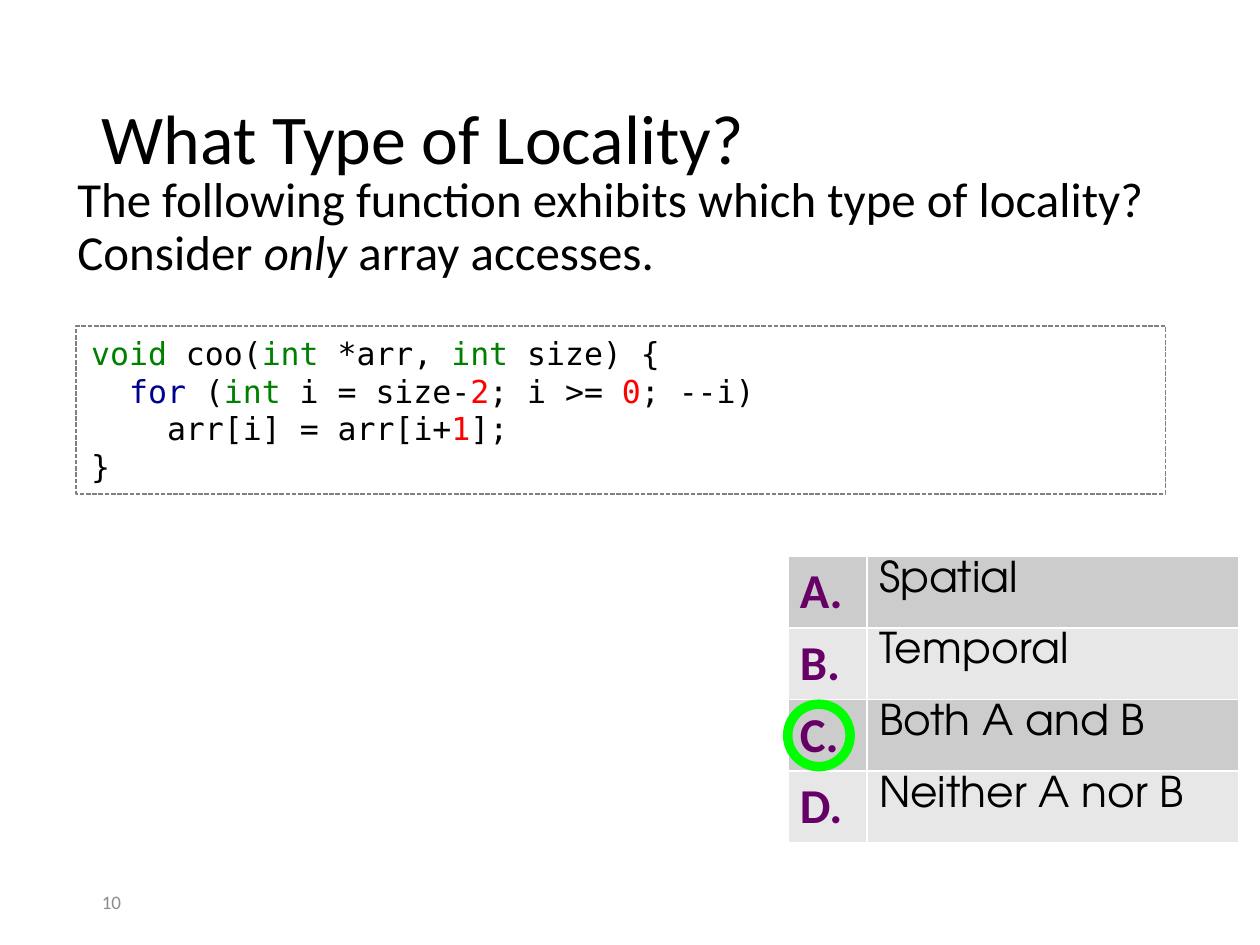
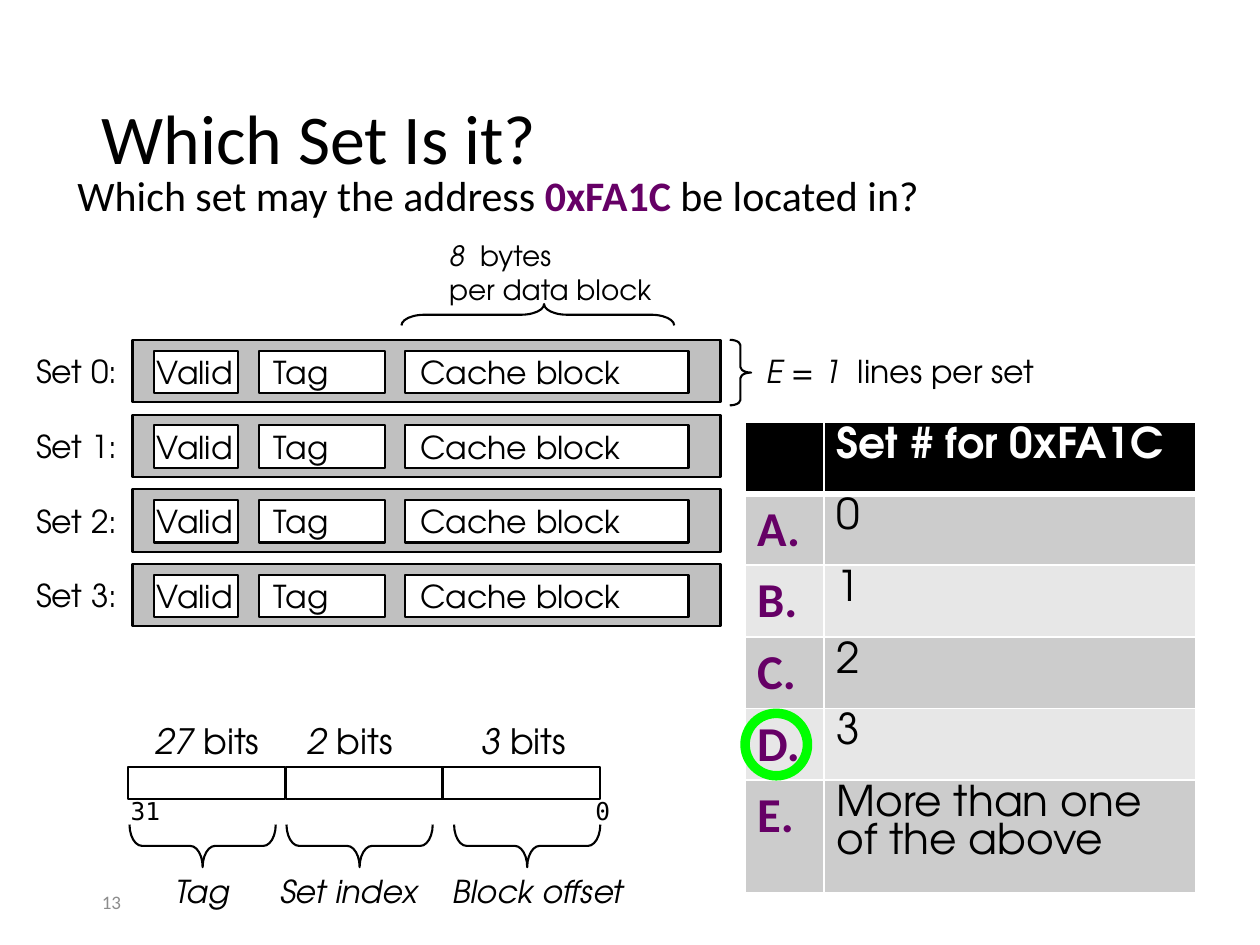
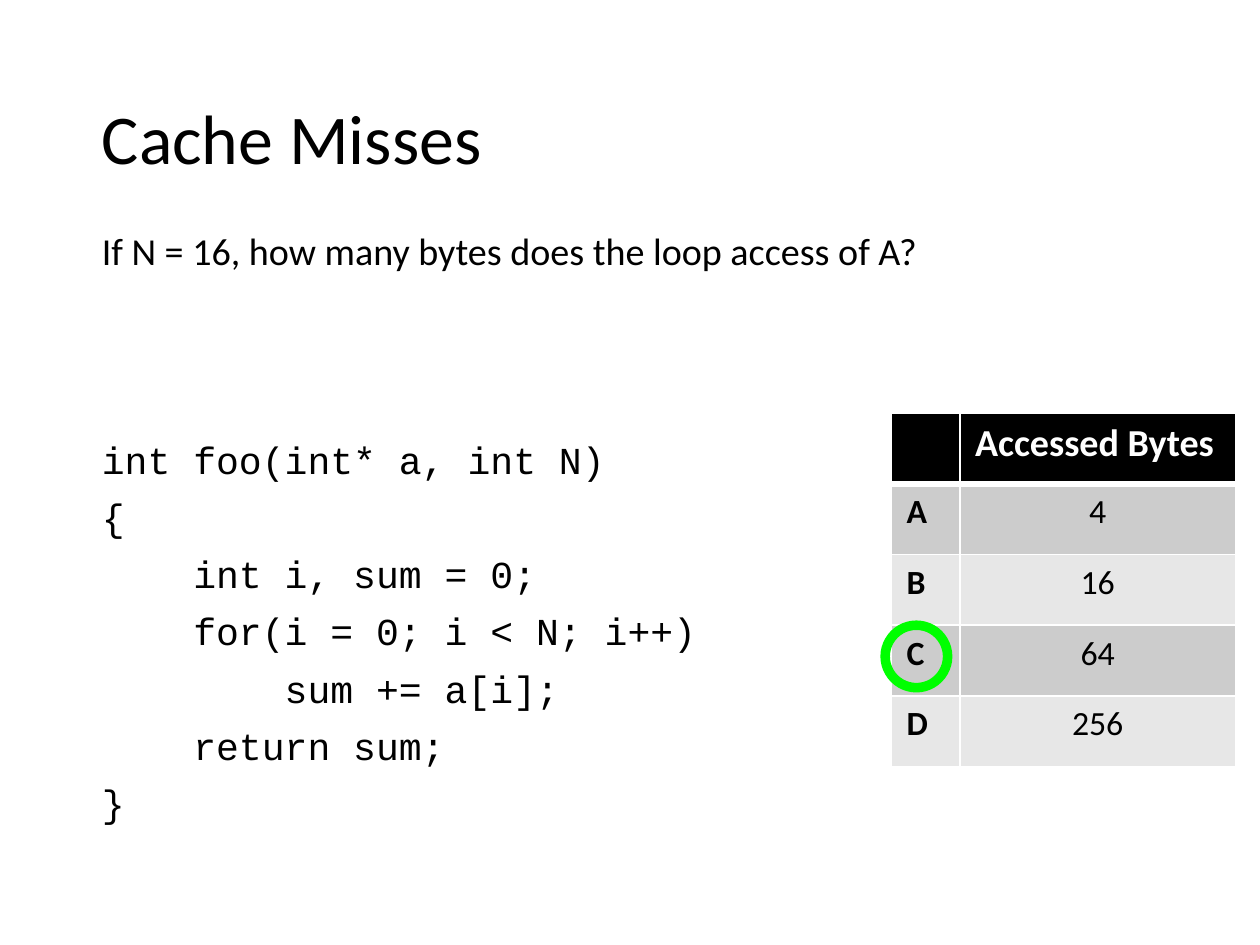
import lxml.etree
import pptx
import pptx.dml.color
import pptx.enum.dml
import pptx.enum.shapes
import pptx.enum.text
import pptx.oxml.ns
import pptx.util

Inches = pptx.util.Inches
Pt = pptx.util.Pt
RGB = pptx.dml.color.RGBColor
SHAPE = pptx.enum.shapes.MSO_SHAPE
ANCHOR = pptx.enum.text.MSO_ANCHOR
ALIGN = pptx.enum.text.PP_ALIGN

# Shared colours and fonts
BLACK = RGB(0x00, 0x00, 0x00)
WHITE = RGB(0xFF, 0xFF, 0xFF)
GRAY = RGB(0x80, 0x80, 0x80)
NUMBER_GRAY = RGB(0x8C, 0x8C, 0x8C)
SET_GRAY = RGB(0xC0, 0xC0, 0xC0)
BAND_DARK = RGB(0xCC, 0xCC, 0xCC)
BAND_LIGHT = RGB(0xE7, 0xE7, 0xE7)
PURPLE = RGB(0x66, 0x00, 0x66)
RING_GREEN = RGB(0x00, 0xFF, 0x00)
TYPE_GREEN = RGB(0x00, 0x80, 0x00)
KEYWORD_BLUE = RGB(0x00, 0x00, 0x90)
LITERAL_RED = RGB(0xFF, 0x00, 0x00)

SANS = "Calibri"
GOTHIC = "TeX Gyre Adventor"
MONO = "DejaVu Sans Mono"
COURIER = "Courier New"

TIGHT = (0.08, 0.04, 0.08, 0.04)
NORMAL = (0.1, 0.05, 0.1, 0.05)

prs = pptx.Presentation()
prs.slide_width = Inches(8.27)
prs.slide_height = Inches(6.2)


def write(tf, paragraphs, size=18, font=SANS, color=BLACK, bold=False, italic=False,
          align=ALIGN.LEFT, spacing=None, before=None):
    """Each paragraph is a string or a list of runs: text or (text, changed format)."""
    if isinstance(paragraphs, str):
        paragraphs = [paragraphs]
    for i, runs in enumerate(paragraphs):
        p = tf.add_paragraph() if i else tf.paragraphs[0]
        p.alignment = align
        if spacing:
            p.line_spacing = spacing
        if before:
            p.space_before = Pt(before)
        for run in [runs] if isinstance(runs, str) else runs:
            text, change = (run, {}) if isinstance(run, str) else run
            r = p.add_run()
            r.text = text
            r.font.size = Pt(size)
            r.font.name = font
            r.font.color.rgb = change.get("color", color)
            r.font.bold = change.get("bold", bold)
            r.font.italic = change.get("italic", italic)


def set_frame(tf, anchor, wrap, insets, grow=False):
    tf.word_wrap = wrap
    tf.vertical_anchor = anchor
    tf.margin_left, tf.margin_top, tf.margin_right, tf.margin_bottom = map(Inches, insets)
    if grow:
        tf.auto_size = pptx.enum.text.MSO_AUTO_SIZE.SHAPE_TO_FIT_TEXT


def add_text(s, box, paragraphs, anchor=ANCHOR.TOP, wrap=True, insets=NORMAL, **fmt):
    tf = s.shapes.add_textbox(*map(Inches, box)).text_frame
    set_frame(tf, anchor, wrap, insets, grow=not wrap)
    write(tf, paragraphs, **fmt)


def add_box(s, box, kind=SHAPE.RECTANGLE, fill=None, line=BLACK, width=1, text=None,
            anchor=ANCHOR.MIDDLE, wrap=False, insets=NORMAL, **fmt):
    sp = s.shapes.add_shape(kind, *map(Inches, box))
    sp.shadow.inherit = False
    if fill is None:
        sp.fill.background()
    else:
        sp.fill.solid()
        sp.fill.fore_color.rgb = fill
    sp.line.color.rgb = line
    sp.line.width = Pt(width)
    if text:
        set_frame(sp.text_frame, anchor, wrap, insets)
        write(sp.text_frame, text, **fmt)
    return sp


def add_brace(s, box, bend, tip=0.5, rotation=0):
    sp = add_box(s, box, SHAPE.RIGHT_BRACE)
    sp.adjustments[0], sp.adjustments[1] = bend, tip
    sp.rotation = rotation


# Title and slide number
def add_slide(title, number=None):
    s = prs.slides.add_slide(prs.slide_layouts[6])
    add_text(s, (0.57, 0.33, 7.13, 1.2), title, anchor=ANCHOR.MIDDLE, size=33, spacing=0.9)
    if number:
        add_text(s, (0.57, 5.75, 1.86, 0.33), number, anchor=ANCHOR.MIDDLE,
                 size=9, color=NUMBER_GRAY)
    return s


def add_question(s, box, runs, size):
    add_text(s, box, [runs], size=size, spacing=0.9, before=7.5)


# Answer table with a ring round the right letter
def set_borders(cell, top, bottom):
    tc_pr = cell._tc.get_or_add_tcPr()
    widths = {"lnL": 1, "lnR": 1, "lnT": top, "lnB": bottom}
    for i, (side, width) in enumerate(widths.items()):
        ln = lxml.etree.Element(pptx.oxml.ns.qn("a:" + side), w=str(Pt(width)))
        fill = lxml.etree.SubElement(ln, pptx.oxml.ns.qn("a:solidFill"))
        lxml.etree.SubElement(fill, pptx.oxml.ns.qn("a:srgbClr"), val=str(WHITE))
        tc_pr.insert(i, ln)


def add_answers(s, left, top, cols, heights, answers, right_row, ring, header=None,
                insets=TIGHT, letter_fmt=None, answer_fmt=None, header_fmt=None):
    rows = ([("", header)] if header else []) + answers
    table = s.shapes.add_table(len(rows), 2, Inches(left), Inches(top),
                               Inches(sum(cols)), Inches(sum(heights))).table
    for column, width in zip(table.columns, cols):
        column.width = Inches(width)
    for i, texts in enumerate(rows):
        table.rows[i].height = Inches(heights[i])
        is_header = bool(header) and i == 0
        band = (BAND_DARK, BAND_LIGHT)[(i - bool(header)) % 2]
        for j, text in enumerate(texts):
            cell = table.cell(i, j)
            (cell.margin_left, cell.margin_top,
             cell.margin_right, cell.margin_bottom) = map(Inches, insets)
            cell.fill.solid()
            cell.fill.fore_color.rgb = BLACK if is_header else band
            set_borders(cell, 3 if header and i == 1 else 1, 3 if is_header else 1)
            if text:
                fmt = header_fmt if is_header else (letter_fmt, answer_fmt)[j]
                write(cell.text_frame, text, **fmt)
    dx, dy = ring
    add_box(s, (left + dx, top + sum(heights[:right_row]) + dy, 0.41, 0.41),
            SHAPE.OVAL, line=RING_GREEN, width=4.5)


LETTERED = dict(
    cols=(0.52, 2.44), ring=(0, 0.03),
    letter_fmt=dict(size=23, color=PURPLE, bold=True),
    answer_fmt=dict(size=20, font=GOTHIC, spacing=Pt(18)),
    header_fmt=dict(size=20, font=GOTHIC, spacing=Pt(18), color=WHITE, bold=True))


# Code in a dashed frame
def add_framed_code(s, box, lines):
    sp = add_box(s, box, line=GRAY, width=0.75, text=lines, anchor=ANCHOR.TOP, wrap=True,
                 size=14.9, font=MONO)
    sp.line.dash_style = pptx.enum.dml.MSO_LINE.SQUARE_DOT


# Cache: one bar per set, with its fields
def add_cache(s, left, top, sets=4, pitch=0.49):
    fmt = dict(size=14.9, font=GOTHIC)
    fields = [("Valid", 0.14, 0.55, (0.02, 0.05, 0.1, 0.05)),
              ("Tag", 0.83, 0.83, NORMAL),
              ("Cache block", 1.79, 1.86, NORMAL)]
    for i in range(sets):
        y = top + i * pitch
        add_box(s, (left, y, 3.86, 0.41), fill=SET_GRAY)
        add_text(s, (left - 0.73, y + 0.03, 0.74, 0.35), f"Set {i}:",
                 anchor=ANCHOR.MIDDLE, wrap=False, **fmt)
        for name, dx, width, insets in fields:
            add_box(s, (left + dx, y + 0.07, width, 0.28), fill=WHITE,
                    text=name, insets=insets, **fmt)
    # Size of a set and of a block
    add_brace(s, (left + 3.92, top, 0.14, 0.43), 0.258)
    add_text(s, (left + 4.06, top + 0.03, 1.96, 0.35),
             [[("E = 1", {"italic": True}), "  lines per set"]],
             anchor=ANCHOR.MIDDLE, wrap=False, **fmt)
    add_brace(s, (left + 2.59, top - 1.06, 0.14, 1.79), 1.083, 0.523, rotation=270)
    add_text(s, (left + 1.98, top - 0.72, 1.55, 0.55),
             [[("8  ", {"italic": True}), "bytes"], "per data block"],
             anchor=ANCHOR.MIDDLE, wrap=False, size=13.2, font=GOTHIC)


# Address: three fields with bit counts above and names below
def add_address(s, left, top, width=1.03):
    fields = [("27 ", 0.1, 0.86, "Tag", 0.23, 0.54, 0.35),
              ("2 ", 1.1, 0.73, "Set index", 0.92, 1.22, 1.38),
              ("3 ", 2.24, 0.73, "Block offset", 2.05, 1.31, 2.48)]
    for i, (bits, bits_dx, bits_w, name, name_dx, name_w, brace_dx) in enumerate(fields):
        add_box(s, (left + i * (width + 0.005), top, width, 0.21))
        add_text(s, (left + bits_dx, top - 0.35, bits_w, 0.36),
                 [[(bits, {"italic": True}), "bits"]],
                 wrap=False, insets=TIGHT, size=16.5, font=GOTHIC)
        add_brace(s, (left + brace_dx, top + 0.04, 0.28, 0.96), 0.292, rotation=90)
        add_text(s, (left + name_dx, top + 0.65, name_w, 0.33), name,
                 wrap=False, insets=TIGHT, size=14.9, font=GOTHIC, italic=True)
    for bit, dx, bit_w in [("31", -0.08, 0.4), ("0", 2.97, 0.3)]:
        add_text(s, (left + dx, top + 0.14, bit_w, 0.3), bit,
                 anchor=ANCHOR.MIDDLE, wrap=False, size=11.6, font=MONO)


# Slide: type of locality
def locality_slide():
    s = add_slide("What Type of Locality?", "10")
    green, blue, red = ({"color": c} for c in (TYPE_GREEN, KEYWORD_BLUE, LITERAL_RED))
    add_question(s, (0.41, 1.1, 7.3, 1.03),
                 ["The following function exhibits which type of locality? Consider ",
                  ("only", {"italic": True}), " array accesses."], 23.1)
    add_framed_code(s, (0.5, 2.14, 7.15, 1.1), [
        [("void ", green), "coo(", ("int ", green), "*arr, ", ("int ", green), "size) {"],
        [("  for ", blue), "(", ("int ", green), "i = size-", ("2", red), "; i >= ",
         ("0", red), "; --i)"],
        ["    arr[i] = arr[i+", ("1", red), "];"],
        "}"])
    add_answers(s, 5.17, 3.65, heights=[0.47] * 4, right_row=2, **LETTERED, answers=[
        ("A.", "Spatial"), ("B.", "Temporal"), ("C.", "Both A and B"),
        ("D.", "Neither A nor B")])


# Slide: which set
def which_set_slide():
    s = add_slide("Which Set Is it?", "13")
    add_question(s, (0.41, 1.1, 7.3, 0.48),
                 ["Which set may the address ", ("0xFA1C", {"color": PURPLE, "bold": True}),
                  " be located in?"], 19.8)
    add_cache(s, 0.87, 2.23)
    add_address(s, 0.84, 5.03)
    add_answers(s, 4.89, 2.77, heights=[0.47] * 5 + [0.74], right_row=4, **LETTERED,
                header="Set # for 0xFA1C", answers=[
                    ("A.", "0"), ("B.", "1"), ("C.", "2"), ("D.", "3"),
                    ("E.", "More than one of the above")])


# Slide: cache misses
def misses_slide():
    s = add_slide("Cache Misses")
    add_text(s, (0.57, 1.44, 5.62, 0.4),
             "If N = 16, how many bytes does the loop access of A?", wrap=False)
    add_text(s, (0.57, 2.85, 4.22, 2.74), [
        "int foo(int* a, int N)",
        "{",
        "    int i, sum = 0;",
        "    for(i = 0; i < N; i++)",
        "        sum += a[i];",
        "    return sum;",
        "}"], font=COURIER, spacing=0.9, before=7.5)
    add_answers(s, 5.85, 2.71, cols=(0.45, 1.81), heights=[2.32 / 5] * 5, right_row=3,
                ring=(-0.04, 0), insets=NORMAL, header="Accessed Bytes",
                answers=[("A", "4"), ("B", "16"), ("C", "64"), ("D", "256")],
                letter_fmt=dict(size=16, bold=True),
                answer_fmt=dict(size=16, align=ALIGN.CENTER),
                header_fmt=dict(color=WHITE, bold=True))


locality_slide()
which_set_slide()
misses_slide()
prs.save("out.pptx")
